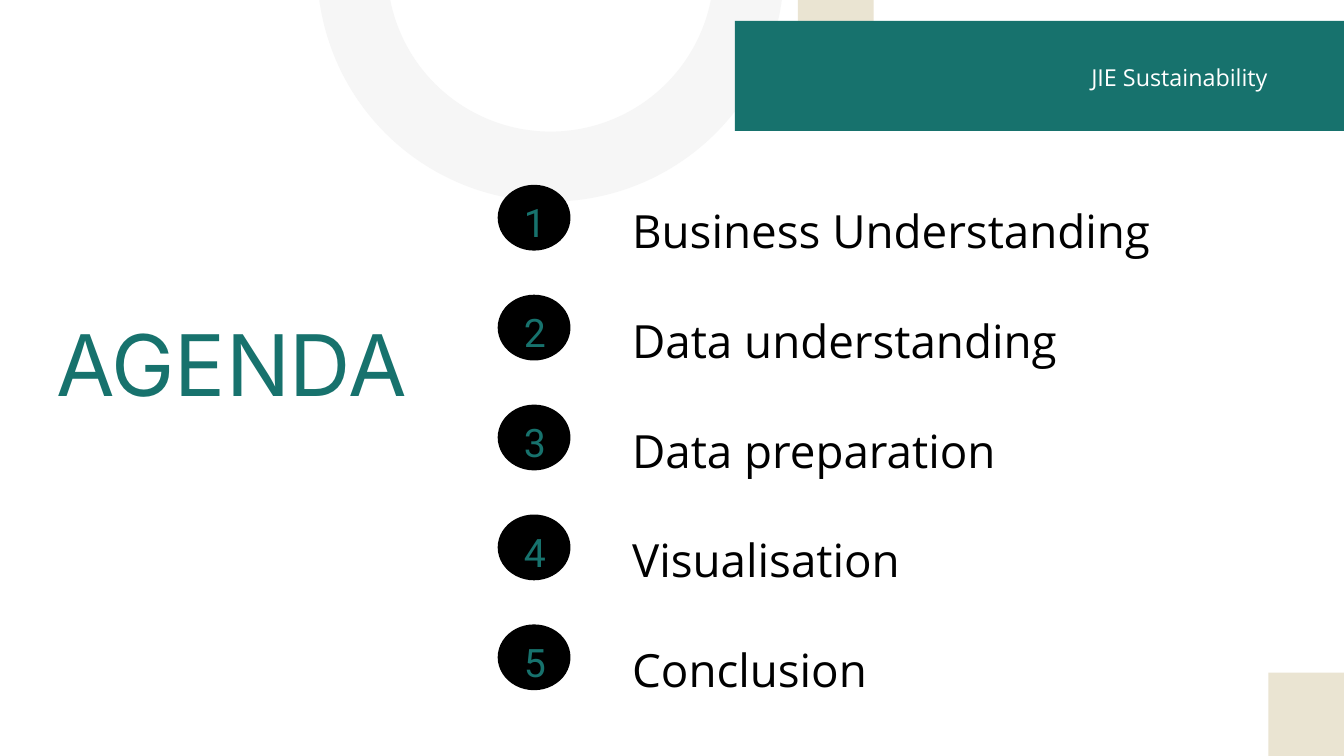
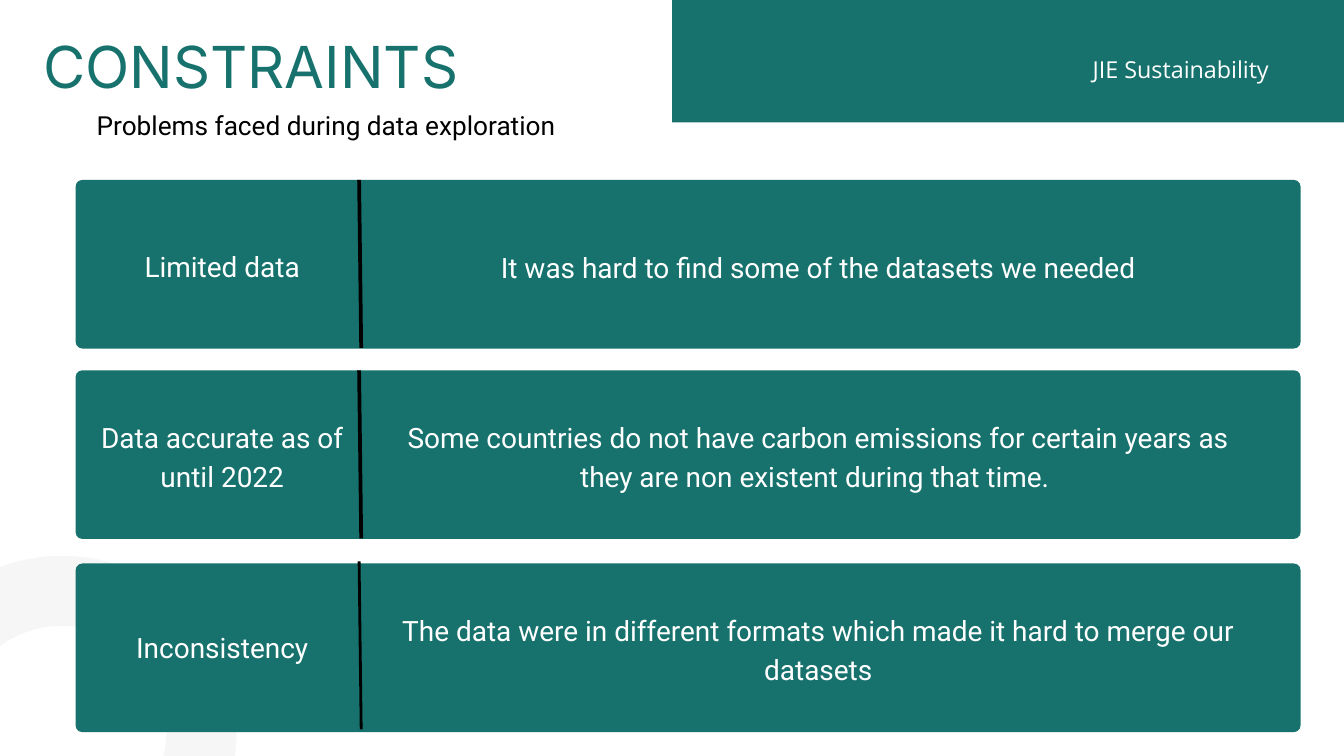
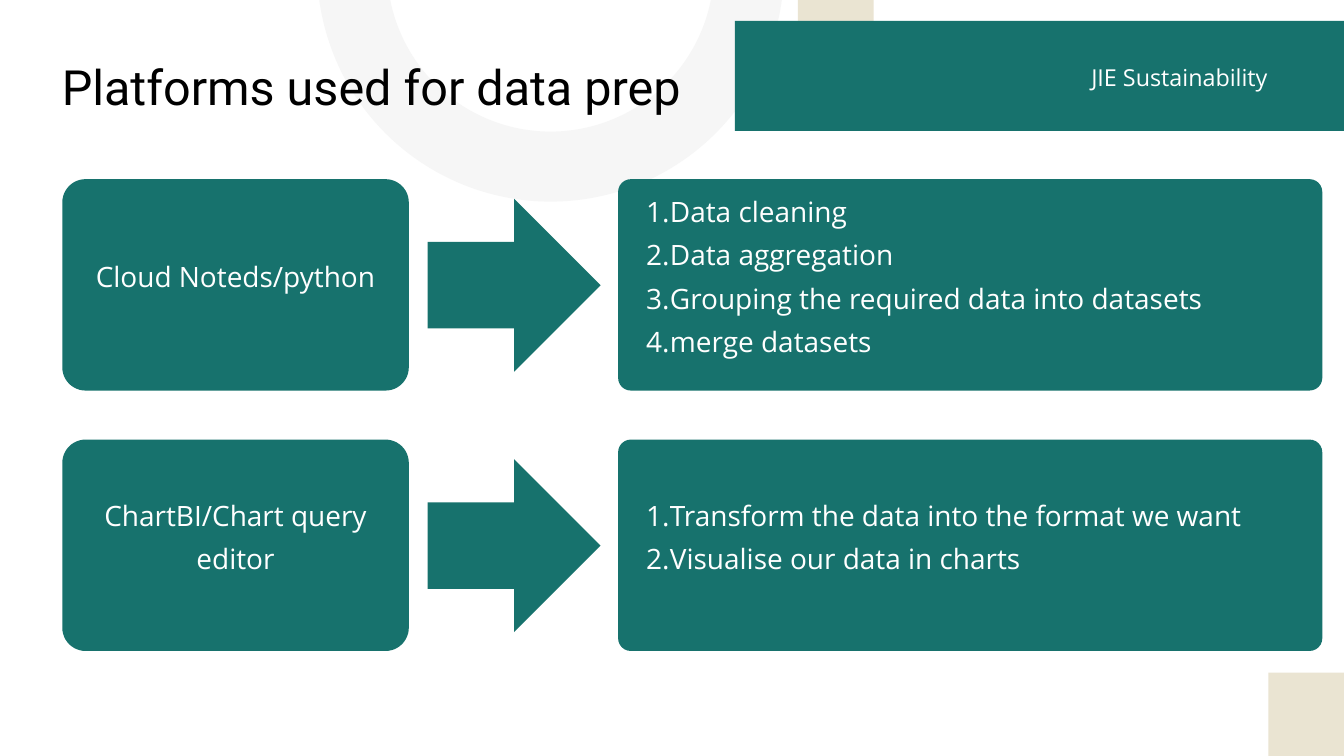
from pptx import Presentation
from pptx.dml.color import RGBColor
from pptx.enum.shapes import MSO_CONNECTOR as Conn, MSO_SHAPE as Kind
from pptx.enum.text import MSO_ANCHOR as Anchor, MSO_AUTO_SIZE as Fit, PP_ALIGN as Align
from pptx.oxml.ns import qn
from pptx.util import Emu, Pt
from lxml.etree import SubElement

GREEN, BEIGE, GREY = "17726D", "EAE4D2", "F6F6F6"
BLACK, WHITE = "000000", "FFFFFF"
SANS, ROBOTO, INTER = "Open Sans", "Roboto", "Inter"
LEFT, MID = Align.LEFT, Align.CENTER

TOPICS = ["Business Understanding", "Data understanding", "Data preparation",
          "Visualisation", "Conclusion"]
LIMITS = [
    (257, "Limited data", 349, 1,
     "It was hard to find some of the datasets we needed", 350, 1, 257, 4),
    (529, "Data accurate as of until 2022", 593, 2,
     "Some countries do not have carbon emissions for certain years as "
     "they are non existent during that time. ", 593, 2, 529, 4),
    (805, "Inconsistency", 893, 1,
     "The data were in different formats which made it hard to merge our datasets",
     868, 2, 802, 3),
]
TOOLS = [
    ("Cloud Noteds/python", ["Data cleaning", "Data aggregation",
                             "Grouping the required data into datasets", "merge datasets"]),
    ("ChartBI/Chart query editor", ["Transform the data into the format we want",
                                    "Visualise our data in charts"]),
]


def px(n):
    return Emu(n * 9525)


def tint(code):
    return RGBColor.from_string(code)


def shape(slide, kind, x, y, w, h, fill, curve=None):
    item = slide.shapes.add_shape(kind, px(x), px(y), px(w), px(h))
    item.shadow.inherit = False
    item.fill.solid()
    item.fill.fore_color.rgb = tint(fill)
    item.line.fill.background()
    if curve is not None:
        item.adjustments[0] = curve
    return item


def ring(slide, x, y, size):
    item = shape(slide, Kind.OVAL, x, y, size, size, WHITE)
    item.fill.background()
    item.line.color.rgb = tint(GREY)
    item.line.width = Pt(75)


def rule(slide, x1, y1, x2, y2, width):
    line = slide.shapes.add_connector(Conn.STRAIGHT, px(x1), px(y1), px(x2), px(y2))
    line.line.color.rgb = tint(BLACK)
    line.line.width = Pt(width)
    SubElement(line.element.spPr, qn("a:effectLst"))


def number(para):
    props = para._p.get_or_add_pPr()
    props.set("marL", str(px(68)))
    props.set("indent", str(px(-34)))
    SubElement(props, qn("a:buAutoNum"), type="arabicPeriod")


def write(item, lines, size, font, color, gap, align=LEFT, inset=0,
          anchor=Anchor.TOP, listed=False):
    frame = item.text_frame
    frame.word_wrap = True
    frame.auto_size = Fit.NONE
    frame.vertical_anchor = anchor
    frame.margin_left = frame.margin_right = px(inset)
    frame.margin_top = frame.margin_bottom = px(inset)
    for i, line in enumerate(lines):
        para = frame.add_paragraph() if i else frame.paragraphs[0]
        if listed:
            number(para)
        para.alignment = align
        para.line_spacing = Pt(gap)
        run = para.add_run()
        run.text = line
        run.font.size = Pt(size)
        run.font.name = font
        run.font.color.rgb = tint(color)


def label(slide, x, y, w, h, lines, *style, **opts):
    box = slide.shapes.add_textbox(px(x), px(y), px(w), px(h))
    write(box, lines, *style, **opts)


def title(slide, x, y, w, h, text, *style, **opts):
    head = slide.shapes.title
    head.left, head.top, head.width, head.height = px(x), px(y), px(w), px(h)
    write(head, [text], *style, **opts)
    head.element.getparent().append(head.element)


def brand(slide, x, y):
    label(slide, x, y, 335, 43, ["JIE Sustainability"], 25, SANS, WHITE, 35)


def decor(slide):
    for x, y in [(1812, 961), (1140, 0)]:
        shape(slide, Kind.RECTANGLE, x, y, 108, 119, BEIGE)
    ring(slide, 503, -329, 567)
    shape(slide, Kind.RECTANGLE, 1050, 30, 870, 157, GREEN)
    brand(slide, 1559, 84)


def agenda(slide):
    decor(slide)
    for i, topic in enumerate(TOPICS):
        y = 237 + 157 * i
        label(slide, 903, y, 993, 116, [topic], 49, SANS, BLACK, 98)
        shape(slide, Kind.OVAL, 711, y + 27, 104, 94, BLACK)
        label(slide, 727, y + 26, 74, 82, [str(i + 1)], 42, ROBOTO, GREEN, 65.9, MID)
    title(slide, 80, 445, 572, 146, "AGENDA", 91, INTER, GREEN, 109.2)


def limits(slide):
    title(slide, 62, 56, 898, 90, "CONSTRAINTS", 62, INTER, GREEN, 65.1)
    shape(slide, Kind.RECTANGLE, 960, -267, 992, 442, GREEN)
    ring(slide, -111, 844, 399)
    brand(slide, 1561, 72)
    label(slide, 108, 149, 725, 49, ["Problems faced during data exploration "],
          28.1, ROBOTO, BLACK, 39.4, MID)
    style = 30, ROBOTO, WHITE, 42, MID
    for top, name, name_y, name_rows, text, text_y, text_rows, line_y, width in LIMITS:
        shape(slide, Kind.ROUNDED_RECTANGLE, 108, top, 1750, 241, GREEN, 0.04)
        label(slide, 140, name_y, 355, 54 * name_rows, [name], *style)
        rule(slide, 516, line_y + 240, 513, line_y, width)
        label(slide, 568, text_y, 1202, 54 * text_rows, [text], *style)


def card(slide, x, y, w, curve, lines, align, listed):
    shape(slide, Kind.ROUNDED_RECTANGLE, x, y, w, 302, GREEN, curve)
    label(slide, x, y - 38, w, 340, lines, 30, SANS, WHITE, 46.5, align,
          inset=6, anchor=Anchor.MIDDLE, listed=listed)


def tools(slide):
    decor(slide)
    title(slide, 44, 67, 973, 93, "Platforms used for data prep",
          52, ROBOTO, BLACK, 72.8, MID)
    for i, (tool, tasks) in enumerate(TOOLS):
        y = 256 + 372 * i
        card(slide, 89, y, 495, 0.11, [tool], MID, False)
        shape(slide, Kind.RIGHT_ARROW, 611, y + 28, 247, 247, GREEN)
        card(slide, 883, y, 1006, 0.06, tasks, LEFT, True)


def main():
    deck = Presentation()
    deck.slide_width, deck.slide_height = px(1920), px(1080)
    for build in (agenda, limits, tools):
        build(deck.slides.add_slide(deck.slide_layouts[5]))
    deck.save("out.pptx")


if __name__ == "__main__":
    main()
